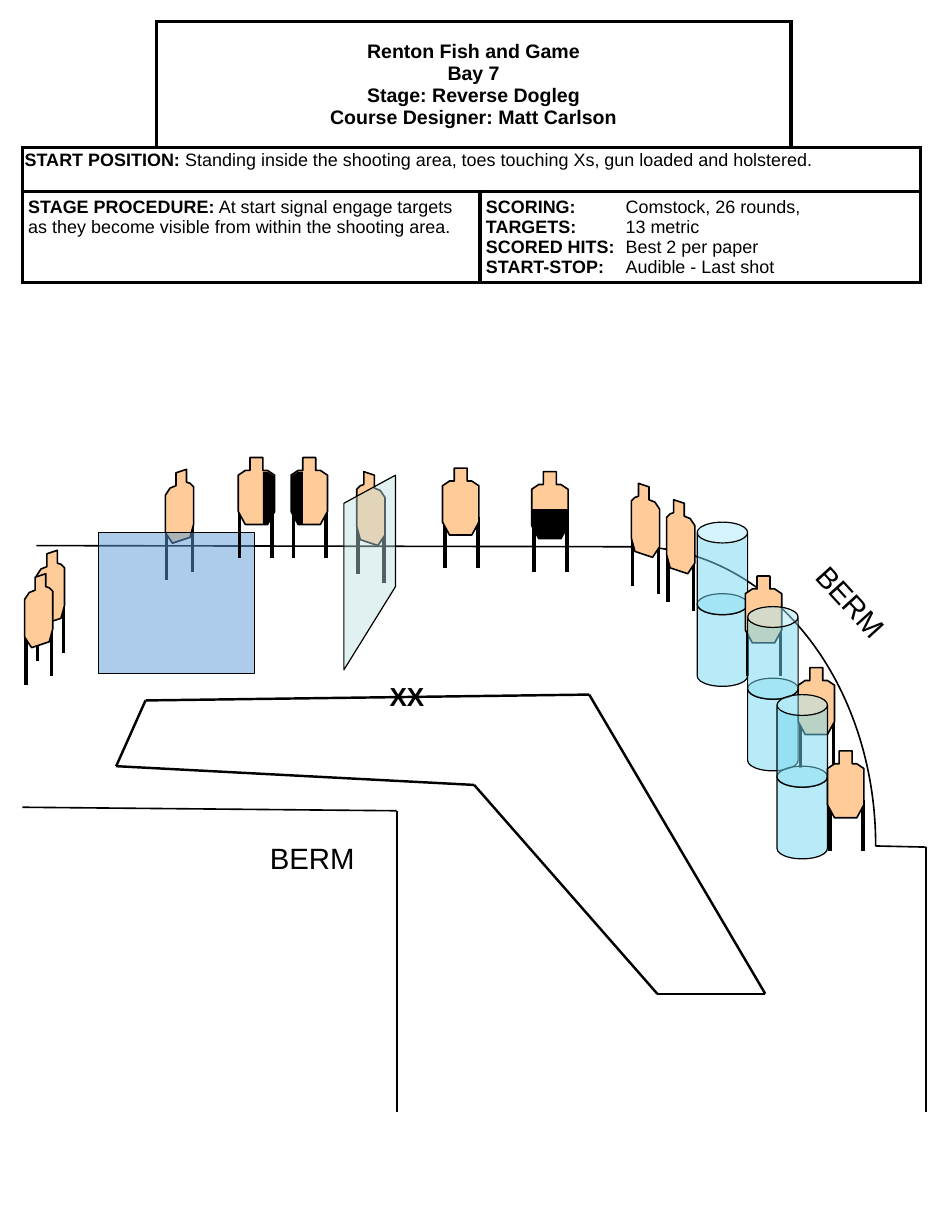
from itertools import pairwise

from lxml.etree import SubElement
from pptx import Presentation
from pptx.dml.color import RGBColor
from pptx.enum.shapes import MSO_CONNECTOR as CONN, MSO_SHAPE as SHAPE
from pptx.enum.text import MSO_ANCHOR as ANCHOR, PP_ALIGN as ALIGN
from pptx.oxml.ns import qn
from pptx.util import Inches, Pt

BLACK = RGBColor(0x00, 0x00, 0x00)
WHITE = RGBColor(0xFF, 0xFF, 0xFF)
CARD = RGBColor(0xFF, 0xCC, 0x99)
BARREL = RGBColor(0x73, 0xD9, 0xF1)
WALL = RGBColor(0x5B, 0x9B, 0xD5)
GLASS = RGBColor(0xBB, 0xE0, 0xE3)

# Grid of 80 columns by 105 rows
COLS, ROWS = 80, 105

# Target outlines and legs in grid units from the top left corner
FRONT = dict(
    width=3.1,
    body=[(1, 0), (2.1, 0), (2.1, 1.1), (2.5, 1.1), (3.1, 1.5), (3.1, 4.6),
          (2.5, 5.7), (0.6, 5.7), (0, 4.6), (0, 1.5), (0.6, 1.1), (1, 1.1)],
    legs=[(0.2, 4.2), (3, 4.2)])
ANGLED = dict(
    width=2.4,
    body=[(0.9, 0.3), (1.8, 0), (1.8, 1.1), (2.1, 1.2), (2.4, 1.5), (2.4, 4.7),
          (2.1, 5.8), (0.6, 6.3), (0, 5.4), (0, 2.2), (0.4, 1.6), (0.9, 1.4)],
    legs=[(0.1, 5.1), (2.3, 4.4)])
SIDE_COVER = [(1, 1.2), (1, 5.7), (0.6, 5.7), (0, 4.6), (0, 1.6), (0.6, 1.2)]
LOW_COVER = [(0, 3.2), (3.1, 3.2), (3.1, 4.5), (2.5, 5.7), (0.6, 5.7), (0, 4.6)]
LEG = 4.35


class Stage:
    font = "Arial"

    def __init__(self, prs):
        self.prs = prs
        self.slide = prs.slides.add_slide(prs.slide_layouts[6])
        self.shapes = self.slide.shapes

    def x(self, col):
        return round(self.prs.slide_width * col / COLS)

    def y(self, row):
        return round(self.prs.slide_height * row / ROWS)

    def box(self, col, row, w, h):
        return self.x(col), self.y(row), self.x(w), self.y(h)

    def paint(self, sp, fill, width, opacity=100):
        sp.shadow.inherit = False
        if fill is None:
            sp.fill.background()
        else:
            sp.fill.solid()
            sp.fill.fore_color.rgb = fill
            if opacity < 100:
                clr = sp.fill._xPr.find(qn("a:solidFill"))[0]
                SubElement(clr, qn("a:alpha"), val=str(opacity * 1000))
        if width:
            sp.line.color.rgb = BLACK
            sp.line.width = Pt(width)
        else:
            sp.line.fill.background()
        return sp

    def shape(self, kind, col, row, w, h, adj, fill=None, width=1, opacity=100):
        sp = self.shapes.add_shape(kind, *self.box(col, row, w, h))
        for i, value in enumerate(adj):
            sp.adjustments[i] = value
        return self.paint(sp, fill, width, opacity)

    def outline(self, points, fill, width, opacity=100):
        pts = [(self.x(c), self.y(r)) for c, r in points]
        fb = self.shapes.build_freeform(*pts[0], scale=1.0)
        fb.add_line_segments(pts[1:], close=True)
        return self.paint(fb.convert_to_shape(), fill, width, opacity)

    def lines(self, points, width=1):
        made = []
        for (c1, r1), (c2, r2) in pairwise(points):
            s = self.shapes.add_connector(
                CONN.STRAIGHT, self.x(c1), self.y(r1), self.x(c2), self.y(r2))
            s.line.color.rgb = BLACK
            s.line.width = Pt(width)
            SubElement(s._element.spPr, qn("a:effectLst"))
            made.append(s)
        return made

    def target(self, kind, col, row, mirror=False, cover=None):
        def place(points):
            return [(col + (kind["width"] - c if mirror else c), row + r)
                    for c, r in points]

        parts = []
        for c, r in place(kind["legs"]):
            parts += self.lines([(c, r), (c, r + LEG)], 2.25)
        parts.append(self.outline(place(kind["body"]), CARD, 1))
        if cover:
            parts.append(self.outline(place(cover), BLACK, 0))
        self.shapes.add_group_shape(parts)

    def barrels(self, col, row):
        self.shapes.add_group_shape([
            self.shape(SHAPE.CAN, col, r, 4.3, 7.9, [0.413], BARREL, 0.75, 50)
            for r in (row + 6.1, row)])

    def style(self, p, size, bold=None):
        p.font.name, p.font.size, p.font.bold = self.font, Pt(size), bold
        p.font.color.rgb = BLACK

    def label(self, text, col, row, w, h, size, bold=False, angle=0):
        sp = self.shapes.add_textbox(*self.box(col, row, w, h))
        sp.rotation = angle
        sp.text_frame.word_wrap = True
        p = sp.text_frame.paragraphs[0]
        p.text = text
        self.style(p, size, bold)

    def table(self, col, row, widths, heights):
        tbl = self.shapes.add_table(
            len(heights), len(widths),
            *self.box(col, row, sum(widths), sum(heights))).table
        tbl.first_row = tbl.horz_banding = False
        for c, w in zip(tbl.columns, widths):
            c.width = self.x(w)
        for r, h in zip(tbl.rows, heights):
            r.height = self.y(h)
        return tbl

    def cells(self, tbl, row, first, last, sides="LRTB", margins=(0.05, 0.05)):
        for col in range(first, last + 1):
            cell = tbl.cell(row, col)
            pr = cell._tc.get_or_add_tcPr()
            for side in sides:
                ln = SubElement(pr, qn("a:ln" + side), w=str(Pt(2.25)))
                clr = SubElement(SubElement(ln, qn("a:solidFill")), qn("a:srgbClr"))
                clr.set("val", str(BLACK))
            cell.fill.solid()
            cell.fill.fore_color.rgb = WHITE
        cell = tbl.cell(row, first)
        if last > first:
            cell.merge(tbl.cell(row, last))
        cell.margin_left = cell.margin_right = Inches(margins[0])
        cell.margin_top = cell.margin_bottom = Inches(margins[1])
        return cell

    def facts(self, cell, rows, tab=None, spacing=None):
        tf = cell.text_frame
        for i, (name, value) in enumerate(rows):
            p = tf.add_paragraph() if i else tf.paragraphs[0]
            if tab:
                tabs = SubElement(p._p.get_or_add_pPr(), qn("a:tabLst"))
                SubElement(tabs, qn("a:tab"), pos=str(Inches(tab)), algn="l")
            if spacing:
                p.line_spacing = spacing
            for text, bold in ((name, True), (("\t" if tab else " ") + value, False)):
                r = p.add_run()
                r.text, r.font.bold = text, bold
            self.style(p, 11)


def main():
    prs = Presentation()
    prs.slide_width, prs.slide_height = Inches(8), Inches(10.5)
    s = Stage(prs)

    # Stage description
    tbl = s.table(1.9, 1.8, [11.4, 27.6, 26.5, 11], [10.8, 3.7, 7.8])
    s.cells(tbl, 0, 0, 0, "RB")
    s.cells(tbl, 0, 3, 3, "LB")
    head = s.cells(tbl, 0, 1, 2)
    head.vertical_anchor = ANCHOR.MIDDLE
    p = head.text_frame.paragraphs[0]
    p.text = ("Renton Fish and Game\vBay 7\vStage: Reverse Dogleg\v"
              "Course Designer: Matt Carlson")
    p.alignment = ALIGN.CENTER
    s.style(p, 12, True)
    s.facts(s.cells(tbl, 1, 0, 3, margins=(0.02, 0.04)), [
        ("START POSITION:", "Standing inside the shooting area, toes touching Xs, "
                            "gun loaded and holstered.")], spacing=0.9)
    s.facts(s.cells(tbl, 2, 0, 1), [
        ("STAGE PROCEDURE:", "At start signal engage targets as they become "
                             "visible from within the shooting area.")])
    s.facts(s.cells(tbl, 2, 2, 3), [
        ("SCORING:", "Comstock, 26 rounds,"), ("TARGETS:", "13 metric"),
        ("SCORED HITS:", "Best 2 per paper"),
        ("START-STOP:", "Audible - Last shot")], tab=1.19)

    # Targets behind the berm line
    s.target(ANGLED, 30.4, 40.2, mirror=True)
    s.target(ANGLED, 14.1, 40)
    s.lines([(54.2, 46.6), (3.1, 46.5)])
    s.target(ANGLED, 3.1, 46.9)

    # Berms
    s.shape(SHAPE.ARC, 33.7, 46.6, 40.9, 50.8, [162, 0.24])
    s.lines([(33.8, 94.8), (33.8, 69.1), (1.9, 68.8)])
    s.lines([(78.9, 94.8), (78.9, 72.2), (74.6, 72.1)])
    s.label("BERM", 22, 71.1, 9.8, 4, 18)
    s.label("BERM", 67.8, 49.5, 9.8, 4, 18, angle=47.7)

    # Barrels and the targets between them
    s.barrels(59.4, 44.5)
    s.target(FRONT, 63.5, 49.1)
    s.target(FRONT, 68, 56.9)
    s.barrels(63.7, 51.7)
    s.barrels(66.2, 59.2)
    s.target(FRONT, 70.5, 64)
    s.target(ANGLED, 2.1, 48.9)

    # Shooting area
    s.lines([(9.9, 65.3), (40.4, 66.9), (56, 84.7), (65.2, 84.7),
             (50.2, 59.2), (12.4, 59.7), (9.9, 65.3)], 1.5)
    s.label("XX", 32.2, 57.5, 6.5, 3.7, 16, bold=True)

    # Walls and the remaining targets
    s.outline([(8.4, 45.4), (21.7, 45.4), (21.7, 57.4), (8.4, 57.4)], WALL, 0.75, 50)
    s.target(FRONT, 37.7, 39.9)
    s.target(FRONT, 24.8, 39, cover=SIDE_COVER)
    s.target(FRONT, 20.3, 39, mirror=True, cover=SIDE_COVER)
    s.outline([(33.7, 40.5), (33.7, 50), (29.3, 57.1), (29.3, 42.9)], GLASS, 0.75, 44)
    s.target(ANGLED, 56.8, 42.6, mirror=True)
    s.target(ANGLED, 53.8, 41.2, mirror=True)
    s.target(FRONT, 45.3, 40.2, cover=LOW_COVER)

    prs.save("out.pptx")


if __name__ == "__main__":
    main()
